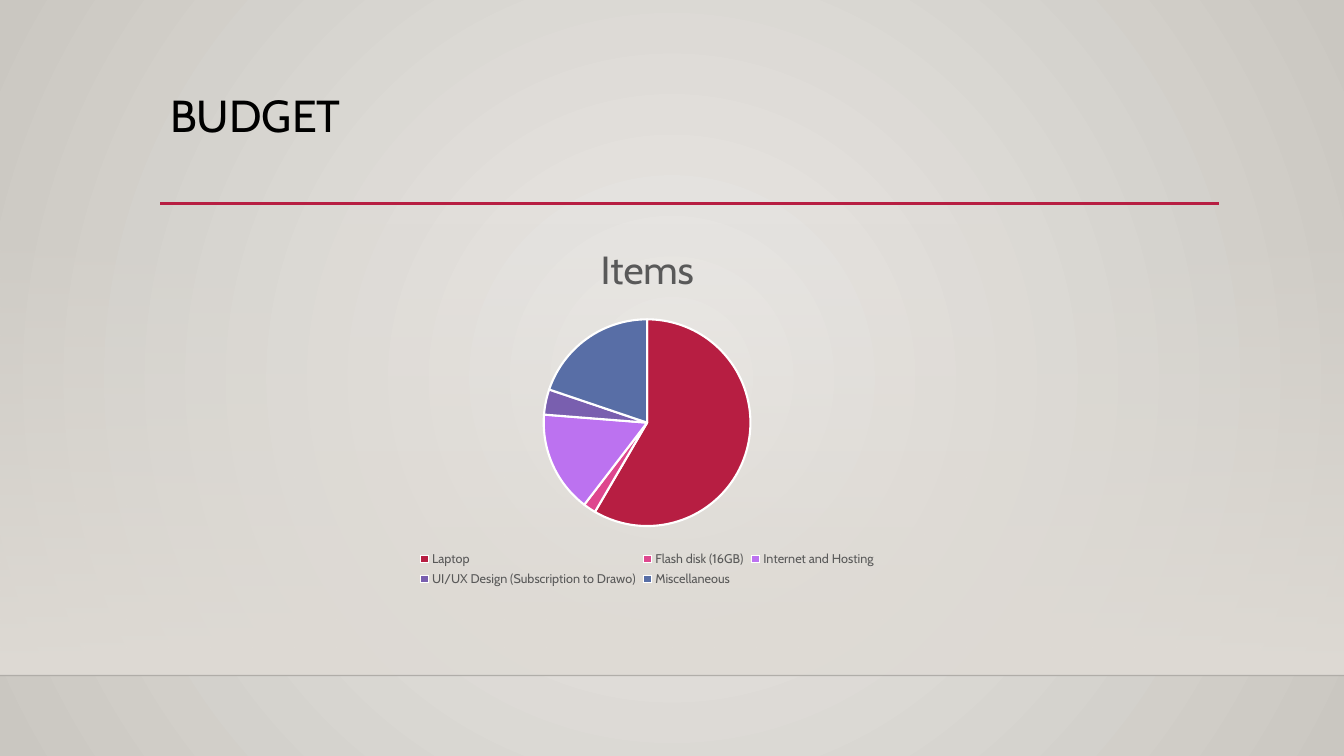
from lxml import etree
from pptx import Presentation
from pptx.chart.data import CategoryChartData
from pptx.dml.color import RGBColor
from pptx.enum.chart import XL_CHART_TYPE, XL_LEGEND_POSITION
from pptx.enum.shapes import MSO_CONNECTOR, MSO_SHAPE
from pptx.enum.text import MSO_ANCHOR, PP_ALIGN
from pptx.oxml.ns import qn
from pptx.util import Pt

PIE = XL_CHART_TYPE.PIE
BOTTOM = XL_LEGEND_POSITION.BOTTOM
STRAIGHT = MSO_CONNECTOR.STRAIGHT
RECT = MSO_SHAPE.RECTANGLE
TOP = MSO_ANCHOR.TOP
LEFT = PP_ALIGN.LEFT

FONT = "Cabin"
BLACK = RGBColor(0x00, 0x00, 0x00)
WHITE = RGBColor(0xFF, 0xFF, 0xFF)
GREY = RGBColor(0x59, 0x59, 0x59)
PALE = RGBColor(0xEC, 0xEA, 0xE7)
STONE = RGBColor(0xCA, 0xC7, 0xC1)
SAND = RGBColor(0xDF, 0xDB, 0xD5)
RED = RGBColor(0xB7, 0x1E, 0x42)
PINK = RGBColor(0xDE, 0x47, 0x8E)
LILAC = RGBColor(0xBC, 0x72, 0xF0)
PURPLE = RGBColor(0x79, 0x5F, 0xAF)
BLUE = RGBColor(0x58, 0x6E, 0xA6)

WIDE, HIGH = 960, 540
ITEMS = [
    ("Laptop", 59, RED),
    ("Flash disk (16GB)", 2, PINK),
    ("Internet and Hosting", 16, LILAC),
    ("UI/UX Design (Subscription to Drawo)", 4, PURPLE),
    ("Miscellaneous", 20, BLUE),
]


def style(font, size, color):
    """Set the face, size and colour of a font."""
    font.name = FONT
    font.size = Pt(size)
    font.color.rgb = color


def blend(fill, first, last):
    """Give a fill a gradient between two colours."""
    fill.gradient()
    for stop, color in zip(fill.gradient_stops, (first, last)):
        stop.color.rgb = color


def fade(node, share):
    """Set the opacity in percent of the first colour inside a node."""
    color = next(node.iter(qn("a:srgbClr")))
    etree.SubElement(color, qn("a:alpha")).set("val", str(share * 1000))


def rule(slide, left, top, width, color, weight):
    """Draw a level line and return it."""
    line = slide.shapes.add_connector(
        STRAIGHT, Pt(left), Pt(top), Pt(left + width), Pt(top))
    line.line.color.rgb = color
    line.line.width = Pt(weight)
    etree.SubElement(line.element.find(qn("p:spPr")), qn("a:effectLst"))
    return line


def backdrop(slide):
    """Fill the slide with a round gradient."""
    blend(slide.background.fill, PALE, STONE)
    grad = next(slide.element.iter(qn("a:gradFill")))
    grad.remove(grad.find(qn("a:lin")))
    round_ = etree.SubElement(grad, qn("a:path"), {"path": "circle"})
    sides = dict.fromkeys("ltrb", "50000")
    etree.SubElement(round_, qn("a:fillToRect"), sides)


def wall(slide, left, top, width, height):
    """Place the fading wall panel and the floor line at its foot."""
    panel = slide.shapes.add_shape(
        RECT, Pt(left), Pt(top), Pt(width), Pt(height))
    panel.shadow.inherit = False
    panel.line.fill.background()
    blend(panel.fill, SAND, SAND)
    panel.fill.gradient_angle = 270
    fade(panel.element, 0)
    floor = rule(slide, left, top + height, width, BLACK, 1)
    fade(floor.element, 20)


def heading(slide, left, top, width, height):
    """Place the title with a red rule at its foot."""
    rule(slide, left, top + height - 0.5, width, RED, 2.5)
    box = slide.shapes.add_textbox(Pt(left), Pt(top), Pt(width), Pt(height))
    frame = box.text_frame
    frame.word_wrap = True
    frame.vertical_anchor = TOP
    para = frame.paragraphs[0]
    para.alignment = LEFT
    para.line_spacing = 0.9
    run = para.add_run()
    run.text = "BUDGET"
    style(run.font, 32, BLACK)


def budget(slide, left, top, width, height):
    """Place the pie chart of budget items."""
    data = CategoryChartData()
    data.categories = [name for name, _, _ in ITEMS]
    data.add_series("Series 1", [value for _, value, _ in ITEMS])
    chart = slide.shapes.add_chart(
        PIE, Pt(left), Pt(top), Pt(width), Pt(height), data).chart
    style(chart.font, 10, BLACK)

    chart.has_title = True
    run = chart.chart_title.text_frame.paragraphs[0].add_run()
    run.text = "Items"
    style(run.font, 28, GREY)
    run.font.bold = False
    chart.chart_title.include_in_layout = False

    chart.has_legend = True
    chart.legend.position = BOTTOM
    chart.legend.include_in_layout = False
    style(chart.legend.font, 9, GREY)

    plot = chart.plots[0]
    plot.vary_by_categories = True
    for index, (_, _, color) in enumerate(ITEMS):
        form = plot.series[0].points[index].format
        form.fill.solid()
        form.fill.fore_color.rgb = color
        form.line.color.rgb = WHITE
        form.line.width = Pt(1.5)


def main():
    """Build and save the budget slide."""
    deck = Presentation()
    deck.slide_width, deck.slide_height = Pt(WIDE), Pt(HIGH)
    slide = deck.slides.add_slide(deck.slide_layouts[6])
    backdrop(slide)
    wall(slide, 0, 159, WIDE, 323.5)
    heading(slide, 114.5, 63.3, 756.5, 82.6)
    budget(slide, 129.5, 158.5, 665.5, 263.5)
    deck.save("out.pptx")


if __name__ == "__main__":
    main()
